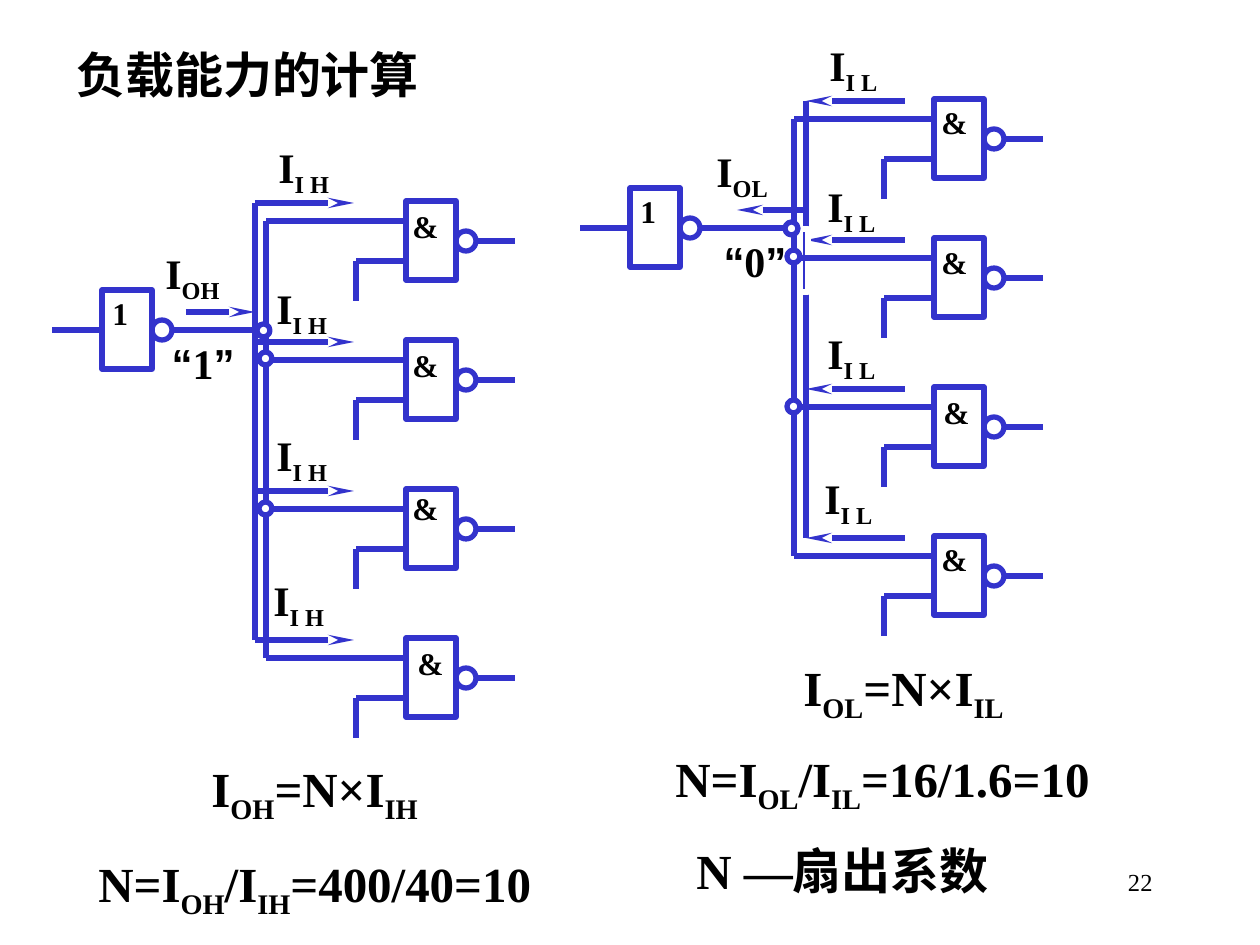
from dataclasses import dataclass

import pptx
import pptx.dml.color
import pptx.enum.shapes
import pptx.enum.text
import pptx.oxml.ns
import pptx.util
from lxml import etree

PX = 914400 / 126
BLUE, WHITE, BLACK = "3333CC", "FFFFFF", "000000"
SERIF, SANS = "Times New Roman", "Arial"
KIND = pptx.enum.shapes.MSO_SHAPE
ALIGN = pptx.enum.text.PP_ALIGN
ANCHOR = pptx.enum.text.MSO_ANCHOR
FIT = pptx.enum.text.MSO_AUTO_SIZE
ROWS = (-89, 50, 199, 348)  # gate tops, from the driver's top
JOINTS = ((155, 34), (157, 62), (157, 212))
TAGS = ((11, -155), (9, -14), (9, 133), (6, 278))


@dataclass
class Side:
    x: int  # driver's left and top
    y: int
    trunk: int  # x of the current trunk
    out: bool  # current leaves the driver
    level: str
    shift: int  # level text, from the driver's left
    rim: str | None  # outline of the level text
    drive: str
    load: str
    marks: tuple  # gate symbol offsets


@dataclass
class Sum:
    text: str
    x: int
    y: int
    w: int


SIDES = (
    Side(102, 290, 255, True, "“|1|”", 48, None, "I|_OH", "I|_I H",
         ((-6, 0), (-6, 0), (-6, -6), (-1, 0))),
    Side(630, 188, 806, False, "“|0|”", 72, WHITE, "I|_OL", "I|_I L",
         ((-5, -2), (-5, -1), (-3, 0), (-5, -2))),
)
SUMS = (
    Sum("I|_OH|=N×I|_IH", 199, 752, 266),
    Sum("N=I|_OH|/I|_IH|=400/40=10", 86, 847, 507),
    Sum("I|_OL|=N×I|_IL", 791, 651, 266),
    Sum("N=I|_OL|/I|_IL|=16/1.6=10", 663, 742, 507),
    Sum("N —扇出系数", 684, 834, 354),
)

deck = pptx.Presentation()
deck.slide_width, deck.slide_height = pptx.util.Inches(10), pptx.util.Inches(7.5)
page = deck.slides.add_slide(deck.slide_layouts[6])


def emu(*vals: int) -> list[int]:
    return [round(v * PX) for v in vals]


def tint(code: str) -> pptx.dml.color.RGBColor:
    return pptx.dml.color.RGBColor.from_string(code)


def shape(kind, x: int, y: int, w: int, h: int, line: str = BLUE, fill: str | None = None):
    item = page.shapes.add_shape(kind, *emu(x, y, w, h))
    item.shadow.inherit = False
    if fill:
        item.fill.solid()
        item.fill.fore_color.rgb = tint(fill)
    else:
        item.fill.background()
    item.line.color.rgb = tint(line)
    item.line.width = pptx.util.Pt(3)
    return item


def wire(x1: int, y1: int, x2: int, y2: int, tip: str | None = None) -> None:
    """Draw a line; tip is headEnd or tailEnd for an arrow."""
    item = page.shapes.add_connector(
        pptx.enum.shapes.MSO_CONNECTOR.STRAIGHT, *emu(x1, y1, x2, y2))
    item.line.color.rgb = tint(BLUE)
    item.line.width = pptx.util.Pt(3)
    prop = item._element.spPr
    if tip:
        etree.SubElement(item.line._get_or_add_ln(), pptx.oxml.ns.qn("a:" + tip),
                         type="stealth", w="sm", len="lg")
    etree.SubElement(prop, pptx.oxml.ns.qn("a:effectLst"))


def text(words: str, x: int, y: int, w: int, h: int, size: int = 24, bold: bool = True,
         align=ALIGN.LEFT, anchor=ANCHOR.TOP, rim: str | None = None, grow: bool = True) -> None:
    """Write runs split by |; a run that starts with _ is a subscript."""
    if rim:
        item = shape(KIND.RECTANGLE, x, y, w, h, line=rim)
    else:
        item = page.shapes.add_textbox(*emu(x, y, w, h))
    frame = item.text_frame
    frame.word_wrap = True
    frame.vertical_anchor = anchor
    frame.auto_size = FIT.SHAPE_TO_FIT_TEXT if grow else FIT.NONE
    para = frame.paragraphs[0]
    para.alignment = align
    if grow:  # half a line before
        gap = etree.SubElement(para._p.get_or_add_pPr(), pptx.oxml.ns.qn("a:spcBef"))
        etree.SubElement(gap, pptx.oxml.ns.qn("a:spcPct"), val="50000")
    for part in words.split("|"):
        run = para.add_run()
        run.text = part.removeprefix("_")
        run.font.size = pptx.util.Pt(size)
        run.font.bold = bold
        run.font.name = SANS if part in "“”" else SERIF
        run.font.color.rgb = tint(BLACK)
        if part.startswith("_"):
            run._r.get_or_add_rPr().set("baseline", "-25000")


def body(x: int, y: int, sign: str, dx: int, dy: int) -> None:
    """Draw a gate with its output bubble and symbol."""
    shape(KIND.RECTANGLE, x, y, 50, 79)
    shape(KIND.OVAL, x + 50, y + 30, 20, 20)
    text(sign, x + dx, y + dy, 52, 50, size=18)


def flow(side: Side) -> None:
    """Draw the current arrows and their labels."""
    t, y = side.trunk, side.y
    wire(t - 69, y + 22, t, y + 22, "tailEnd" if side.out else "headEnd")
    wire(t, y + ROWS[0] + 2, t, y + ROWS[-1] + 2)
    for row in ROWS:
        ends = (t, t + 99) if side.out else (t + 99, t)
        wire(ends[0], y + row + 2, ends[1], y + row + 2, "tailEnd")
    text(side.level, side.x + side.shift, y + 41, 106, 63, align=ALIGN.CENTER, rim=side.rim)
    text(side.drive, t - 102, y - 49, 110, 63)
    for dx, dy in TAGS:
        text(side.load, t + dx, y + dy, 96, 63)


def net(side: Side) -> None:
    """Draw the driver, the bus and the load gates."""
    x, y = side.x, side.y
    bus, gate = x + 164, x + 304
    wire(x, y + 40, x - 50, y + 40)
    wire(x + 69, y + 40, x + 166, y + 40)
    wire(bus, y + ROWS[0] + 20, bus, y + ROWS[-1] + 20)
    body(x, y, "1", -2, -2)
    for row, mark in zip(ROWS, side.marks):
        top = y + row
        wire(gate, top + 20, bus, top + 20)
        wire(gate, top + 60, gate - 50, top + 60)
        wire(gate - 50, top + 60, gate - 50, top + 100)
        wire(gate + 70, top + 40, gate + 109, top + 40)
        body(gate, top, "&", *mark)
    for dx, dy in JOINTS:
        shape(KIND.OVAL, x + dx, y + dy, 13, 13, fill=WHITE)


# Title
text("负载能力的计算", 64, 39, 406, 69, size=28, anchor=ANCHOR.MIDDLE, grow=False)

# Circuits
for side in SIDES:
    flow(side)
    net(side)

# Formulas
for item in SUMS:
    text(item.text, item.x, item.y, item.w, 72, size=28, rim=WHITE)

# Page number
text("22", 903, 861, 262, 63, size=14, bold=False, align=ALIGN.RIGHT, grow=False)

deck.save("out.pptx")
